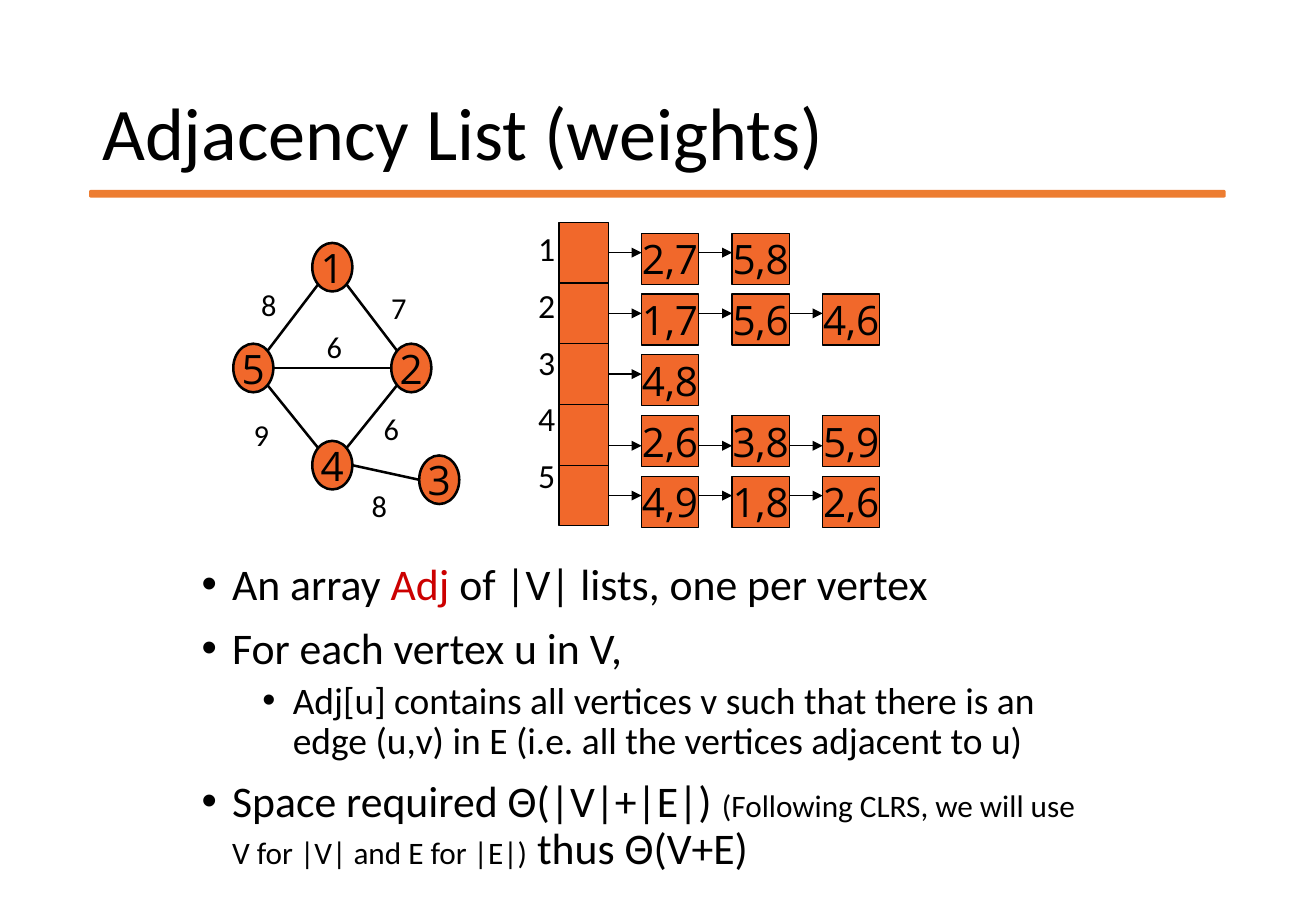
"""Build the slide on weighted adjacency lists: graph, linked lists and bullets."""
from math import copysign, sqrt
from lxml import etree
from pptx import Presentation, util as u
from pptx.dml.color import RGBColor
from pptx.enum import shapes as kinds, text as txt
from pptx.oxml.ns import qn

COLORS = {"ink": "000000", "node": "F1682B", "rule": "ED7D31", "accent": "CC0000"}
HEADING = "Adjacency List (weights)"
BULLETS = [
    (0, [("An array ", {}), ("Adj", {"color": "accent"}), (" of |V| lists, one per vertex", {})]),
    (0, [("For each vertex u in V,", {})]),
    (1, [("Adj[u] contains all vertices v such that there is an edge (u,v) in E "
          "(i.e. all the vertices adjacent to u)", {})]),
    (0, [("Space required Θ(|V|+|E|) ", {}),
         ("(Following CLRS, we will use V for |V| and E for |E|)", {"size": 18.5}),
         (" thus Θ(V+E)", {})]),
]
LEVELS = [{"size": 25.9, "before": 10, "indent": 0.25}, {"size": 22.2, "before": 5, "indent": 0.75}]
LISTS = {"1": ["2,7", "5,8"], "2": ["1,7", "5,6", "4,6"], "3": ["4,8"],
         "4": ["2,6", "3,8", "5,9"], "5": ["4,9", "1,8", "2,6"]}
ARROW_DROP = {"4": 0.34}
VERTICES = {"1": (2.57, 2.0), "2": (3.22, 2.83), "3": (3.45, 3.75),
            "4": (2.57, 3.63), "5": (1.92, 2.83)}
EDGES = [("1", "5", "8", (2.05, 2.31)), ("1", "2", "7", (2.96 + 0.16, 2.33)),
         ("5", "2", "6", (2.59, 2.65)), ("5", "4", "9", (1.99, 3.38)),
         ("4", "2", "6", (3.06, 3.33)), ("4", "3", "8", (2.96, 3.96))]
VERTEX_W, VERTEX_H = 0.33, 0.4
ARRAY_X, ARRAY_Y, ARRAY_W, ROW_H = 4.6, 1.83, 0.41, 0.5
CELL_X, CELL_W, CELL_H, CELL_STEP = 5.28, 0.47, 0.42, 0.745

deck = Presentation()
deck.slide_width, deck.slide_height = u.Inches(10.83), u.Inches(7.5)
slide = deck.slides.add_slide(deck.slide_layouts[1])


def rgb(name):
    return RGBColor.from_string(COLORS[name])


def box(*lengths):
    return [u.Inches(length) for length in lengths]


def write(paragraph, words, size=18, font="Calibri", color="ink", align="LEFT"):
    run = paragraph.add_run()
    run.text = words
    run.font.size, run.font.name = u.Pt(size), font
    run.font.color.rgb = rgb(color)
    paragraph.alignment = getattr(txt.PP_ALIGN, align)


def solid(preset, place, fill="node", edge="ink", width=0.75, words=None):
    shape = slide.shapes.add_shape(getattr(kinds.MSO_SHAPE, preset), *box(*place))
    shape.shadow.inherit = False
    shape.fill.solid()
    shape.fill.fore_color.rgb = rgb(fill)
    shape.line.color.rgb, shape.line.width = rgb(edge), u.Pt(width)
    if words:
        frame = shape.text_frame
        frame.word_wrap, frame.vertical_anchor = False, txt.MSO_ANCHOR.MIDDLE
        write(frame.paragraphs[0], words, size=24, font="Open Sans", align="CENTER")


def link(start, end, width=0.75, arrow=False):
    line = slide.shapes.add_connector(kinds.MSO_CONNECTOR.STRAIGHT, *box(*start, *end))
    line.line.color.rgb, line.line.width = rgb("ink"), u.Pt(width)
    if arrow:
        etree.SubElement(line.line._get_or_add_ln(), qn("a:tailEnd"), type="triangle")
    etree.SubElement(line._element.spPr, qn("a:effectLst"))


def rim(vertex, other):
    """Return the side or diagonal point of a vertex that faces another vertex."""
    (x, y), (ox, oy) = VERTICES[vertex], VERTICES[other]
    flat = abs(ox - x) > 2 * abs(oy - y)
    across, down = (1, 0) if flat else (1 / sqrt(2), 1 / sqrt(2))
    return (x + VERTEX_W / 2 * (1 + copysign(across, ox - x)),
            y + VERTEX_H / 2 * (1 + copysign(down, oy - y)))


def place_text(shape, *place):
    shape.left, shape.top, shape.width, shape.height = box(*place)
    shape.text_frame.auto_size = txt.MSO_AUTO_SIZE.NONE
    return shape.text_frame


solid("ROUNDED_RECTANGLE", (0.74, 1.57, 9.34, 0.05), fill="rule", edge="rule", width=1)
heading = place_text(slide.shapes.title, 0.74, 0.4, 9.34, 1.45)
heading.vertical_anchor = txt.MSO_ANCHOR.MIDDLE
heading.paragraphs[0].line_spacing = 0.9
write(heading.paragraphs[0], HEADING, size=44)

body = place_text(slide.placeholders[1], 1.56, 4.58, 7.52, 2.71)
for i, (level, runs) in enumerate(BULLETS):
    item = body.add_paragraph() if i else body.paragraphs[0]
    style = LEVELS[level]
    item.level, item.line_spacing = level, 0.9
    item.space_before = u.Pt(style["before"] if i else 0)
    for words, look in runs:
        write(item, words, **{"size": style["size"], **look})
    props = item._p.get_or_add_pPr()
    props.set("marL", str(u.Inches(style["indent"])))
    props.set("indent", str(u.Inches(-0.25)))
    etree.SubElement(props, qn("a:buFont"), typeface="Arial")
    etree.SubElement(props, qn("a:buChar"), char="•")

solid("RECTANGLE", (ARRAY_X, ARRAY_Y, ARRAY_W, ROW_H * len(LISTS)))
index = slide.shapes.add_textbox(*box(4.33, ARRAY_Y, 0.41, 2.43)).text_frame
index.word_wrap = True
for row, (vertex, neighbours) in enumerate(LISTS.items()):
    top = ARRAY_Y + row * ROW_H
    label = index.add_paragraph() if row else index.paragraphs[0]
    label.space_before = u.Pt(9.5 if row else 0)
    write(label, vertex, size=20)
    if row:
        link((ARRAY_X, top), (ARRAY_X + ARRAY_W, top))
    arrow_y = top + ARROW_DROP.get(vertex, ROW_H / 2)
    tail_x = ARRAY_X + ARRAY_W
    for column, neighbour in enumerate(neighbours):
        left = CELL_X + column * CELL_STEP
        solid("RECTANGLE", (left, top + 0.09, CELL_W, CELL_H), words=neighbour)
        link((tail_x, arrow_y), (left, arrow_y), arrow=True)
        tail_x = left + CELL_W

for vertex, corner in VERTICES.items():
    solid("OVAL", (*corner, VERTEX_W, VERTEX_H), width=1.5, words=vertex)
for first, second, weight, corner in EDGES:
    link(rim(first, second), rim(second, first), width=1.5)
    tag = slide.shapes.add_textbox(*box(*corner, 0.33, 0.4)).text_frame
    tag.word_wrap = False
    write(tag.paragraphs[0], weight)

deck.save("out.pptx")
